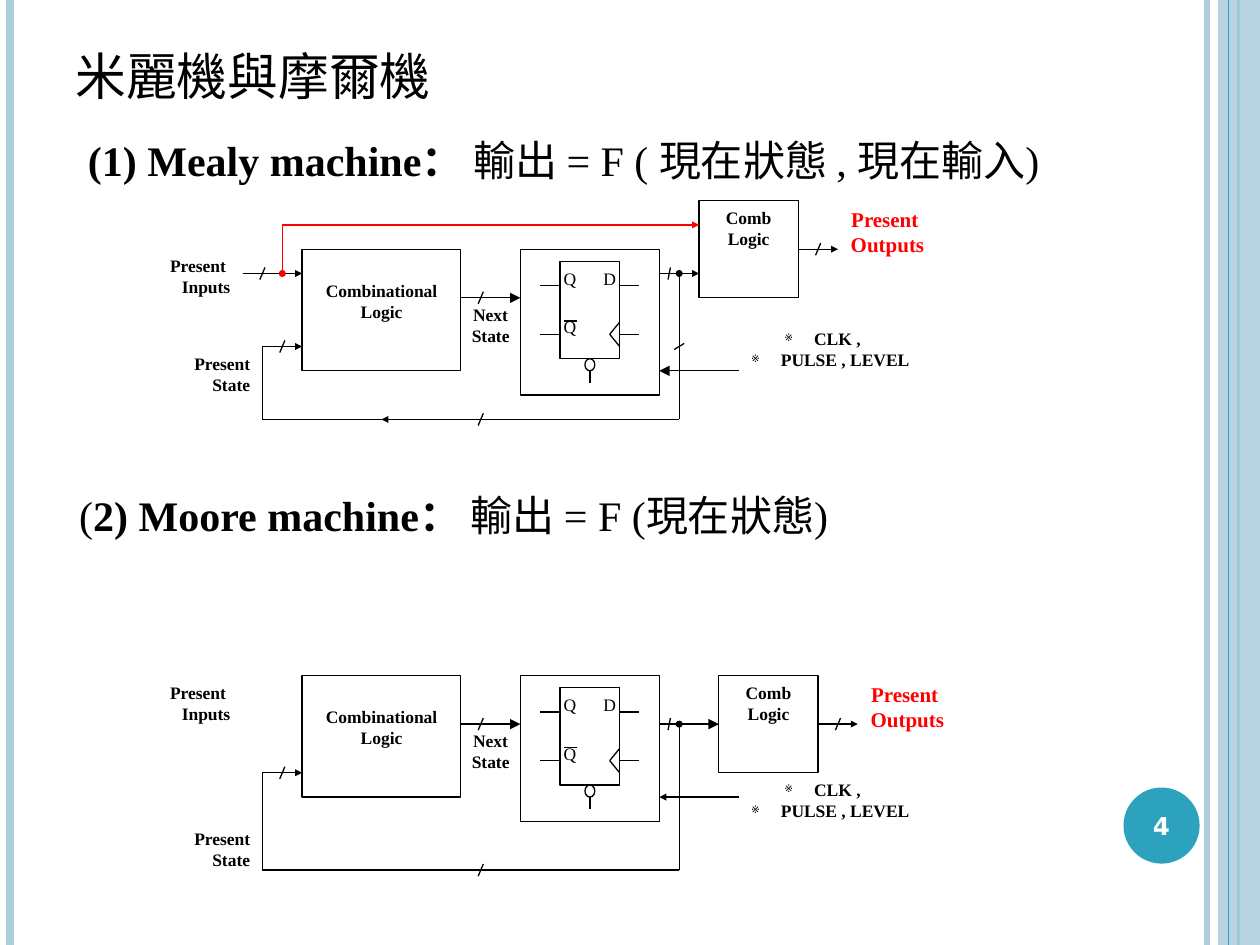
from dataclasses import dataclass

from lxml import etree
from pptx import Presentation
from pptx.dml.color import RGBColor
from pptx.enum.shapes import MSO_CONNECTOR, MSO_SHAPE
from pptx.enum.text import MSO_ANCHOR, PP_ALIGN
from pptx.oxml.ns import qn
from pptx.util import Pt

STRAIGHT = MSO_CONNECTOR.STRAIGHT
RECTANGLE, OVAL = MSO_SHAPE.RECTANGLE, MSO_SHAPE.OVAL
LEFT, CENTER, RIGHT = PP_ALIGN.LEFT, PP_ALIGN.CENTER, PP_ALIGN.RIGHT
TOP, MIDDLE, BOTTOM = MSO_ANCHOR.TOP, MSO_ANCHOR.MIDDLE, MSO_ANCHOR.BOTTOM
LEFT_SIDE, RIGHT_SIDE = 1, 3


@dataclass(frozen=True)
class Theme:
    ink: str = "000000"
    red: str = "FF0000"
    white: str = "FFFFFF"
    pale: str = "ADCEDC"
    teal: str = "2DA2BF"
    serif: str = "Times New Roman"
    title_font: str = "Arial"
    number_font: str = "DejaVu Sans"
    title: float = 29
    heading: float = 24
    number: float = 14
    output: float = 12
    label: float = 10
    stroke: float = 0.75


@dataclass(frozen=True)
class Machine:
    top: float          # points, row 0 of the diagram grid
    logic_column: int   # output logic block
    logic_row: int
    output_row: int     # line leaving the flip-flop
    feedback_row: int
    state_row: int
    clock_row: int
    clock_head: str
    output_head: str


THEME = Theme()
MEALY = Machine(114.6, 29, 0, 6, 18, 12, 10, "med", "sm")
MOORE = Machine(358.2, 30, 4, 8, 20, 16, 12, "sm", "med")
GRID_LEFT, COLUMN, ROW = 70.6, 11.34, 6.95


def set_alpha(fill_element, percent):
    color = next(fill_element.iter(qn("a:srgbClr")))
    etree.SubElement(color, qn("a:alpha"), val=str(percent * 1000))


def add_text(slide, box, lines, *, size=THEME.label, font=THEME.serif, color=THEME.ink,
             bold=True, align=CENTER, anchor=TOP, margins=None, bullet=None, shape=None):
    """Each line is a string or a list of (string, bold) runs; margins are (left, first line)."""
    shape = shape or slide.shapes.add_textbox(*map(Pt, box))
    frame = shape.text_frame
    frame.word_wrap = True
    frame.vertical_anchor = anchor
    for index, line in enumerate(lines):
        paragraph = frame.add_paragraph() if index else frame.paragraphs[0]
        paragraph.alignment = align
        for text, run_bold in [(line, bold)] if isinstance(line, str) else line:
            run = paragraph.add_run()
            run.text = text
            run.font.size, run.font.name, run.font.bold = Pt(size), font, run_bold
            run.font.color.rgb = RGBColor.from_string(color)
        properties = paragraph._p.get_or_add_pPr()
        if margins:
            left, first = margins[index]
            properties.set("marL", str(Pt(left)))
            properties.set("indent", str(Pt(first)))
        if bullet:
            etree.SubElement(properties, qn("a:buSzPct"), val="60000")
            etree.SubElement(properties, qn("a:buChar"), char=bullet)
    return shape


def add_block(slide, kind, box, fill=None, line=None):
    shape = slide.shapes.add_shape(kind, *map(Pt, box))
    shape.shadow.inherit = False
    if fill:
        shape.fill.solid()
        shape.fill.fore_color.rgb = RGBColor.from_string(fill)
    else:
        shape.fill.background()
    if line:
        shape.line.color.rgb = RGBColor.from_string(line)
        shape.line.width = Pt(THEME.stroke)
    else:
        shape.line.fill.background()
    return shape


def add_line(slide, start, end, color=THEME.ink, width=THEME.stroke, tip=None, tip_size="sm"):
    line = slide.shapes.add_connector(STRAIGHT, *map(Pt, (*start, *end)))
    line.line.color.rgb = RGBColor.from_string(color)
    line.line.width = Pt(width)
    if tip:
        etree.SubElement(line.line._get_or_add_ln(), qn("a:tailEnd"),
                         type=tip, w=tip_size, len=tip_size)
    etree.SubElement(line._element.spPr, qn("a:effectLst"))
    return line


class Diagram:
    """Draws on a grid of columns and rows."""

    def __init__(self, slide, top):
        self.slide, self.top = slide, top

    def point(self, column, row):
        return GRID_LEFT + column * COLUMN, self.top + row * ROW

    def box(self, column, row, columns, rows):
        return (*self.point(column, row), columns * COLUMN, rows * ROW)

    def block(self, *cells, kind=RECTANGLE, fill=None):
        return add_block(self.slide, kind, self.box(*cells), fill, THEME.ink)

    def text(self, cells, lines, **style):
        return add_text(self.slide, self.box(*cells), lines, **style)

    def wire(self, start, end, **style):
        return add_line(self.slide, self.point(*start), self.point(*end), **style)

    def slash(self, column, row, dx=0.13, dy=0.5):
        self.wire((column + dx, row - dy), (column - dx, row + dy))


def draw_flip_flop(diagram):
    diagram.block(20, 4, 7, 12)
    diagram.block(22, 5, 3, 8)
    for column, row, name in ((23, 5, "D"), (21, 5, "Q"), (21, 9, "Q")):
        diagram.text((column, row, 3, 4), [name], bold=False)
    diagram.wire((22.2, 9.9), (22.85, 9.9))
    for row in (7, 11):
        for column in (21, 25):
            diagram.wire((column, row), (column + 1, row))
    # Clock wedge and inverted clear pin
    for row in (10, 12):
        diagram.wire((25, row), (24.5, 11))
    diagram.block(23.25, 13, 0.5, 1, kind=OVAL, fill=THEME.white)
    diagram.wire((23.5, 14), (23.5, 15))


def draw_machine(slide, machine):
    diagram = Diagram(slide, machine.top)
    column, row = machine.logic_column, machine.logic_row
    output_row, feedback_row = machine.output_row, machine.feedback_row

    # Next-state logic and state register
    diagram.block(9, 4, 8, 10)
    diagram.text((8, 6, 10, 8), ["Combinational", "Logic"])
    diagram.wire((17, 8), (20, 8), tip="triangle", tip_size="med")
    diagram.slash(18, 8)
    diagram.text((16, 8, 5, 8), ["Next", "State"])
    draw_flip_flop(diagram)
    diagram.wire((31, 14), (27, 14), tip="triangle", tip_size=machine.clock_head)

    # Output logic
    logic = diagram.block(column, row, 5, 8)
    add_text(slide, None, ["Comb", "Logic"], shape=logic)
    incoming = diagram.wire((27, output_row), (column, output_row),
                            tip="triangle", tip_size=machine.output_head)
    if output_row == row + 4:
        incoming.end_connect(logic, LEFT_SIDE)
    diagram.slash(27.5, output_row, dx=0.06)
    outgoing = diagram.wire((column + 5, row + 4), (column + 7, row + 4), tip="triangle")
    outgoing.begin_connect(logic, RIGHT_SIDE)
    diagram.slash(column + 6, row + 4)

    # Feedback loop
    diagram.wire((28, feedback_row), (28, output_row), tip="oval")
    diagram.wire((28, feedback_row), (7, feedback_row))
    diagram.slash(18, feedback_row)
    diagram.wire((7, feedback_row), (7, 12))
    diagram.wire((7, 12), (9, 12), tip="triangle")
    diagram.slash(8, 12)

    # Labels
    diagram.text((0, 4, 6, 8), ["Present ", "Inputs"], align=RIGHT)
    diagram.text((1, machine.state_row, 6, 8), ["Present", "State"], align=RIGHT)
    diagram.text((column + 6, row, 7, 8), ["Present ", "Outputs"],
                 size=THEME.output, color=THEME.red)
    diagram.text((31, machine.clock_row, 12, 8), ["CLK ,", "PULSE , LEVEL"],
                 align=LEFT, bullet="※", margins=[(36, -17), (17, -17)])
    return diagram


def draw_mealy_inputs(diagram):
    diagram.wire((6, 6), (9, 6), tip="triangle")
    diagram.slash(7, 6)
    diagram.wire((8, 2), (29, 2), color=THEME.red, tip="triangle")
    diagram.wire((8, 2), (8, 6), color=THEME.red, tip="oval")
    diagram.wire((28, 18), (13, 18), tip="triangle")
    diagram.slash(28, 12, dx=0.25, dy=0.25)


def draw_frame(slide):
    rules = ((689.8, THEME.pale, 3), (5.8, THEME.pale, 4.5), (707.8, THEME.teal, 1.5))
    for x, color, width in rules:
        add_line(slide, (x, 0), (x, 540), color=color, width=width)
    band = add_block(slide, RECTANGLE, (696, 0, 24, 540), THEME.pale)
    set_alpha(band._element.spPr, 87)
    add_line(slide, (702, 0), (702, 540), color=THEME.teal)
    badge = add_block(slide, OVAL, (642, 450, 43.5, 43.5), THEME.teal)
    add_text(slide, None, ["4"], shape=badge, size=THEME.number, font=THEME.number_font,
             color=THEME.white, anchor=MIDDLE)


def main():
    presentation = Presentation()
    presentation.slide_width, presentation.slide_height = Pt(720), Pt(540)
    slide = presentation.slides.add_slide(presentation.slide_layouts[6])
    draw_frame(slide)

    # Title and headings
    add_text(slide, (36, 21.6, 588, 42.5), ["米麗機與摩爾機"], size=THEME.title,
             font=THEME.title_font, bold=False, align=LEFT, anchor=BOTTOM)
    heading = {"size": THEME.heading, "align": LEFT, "anchor": MIDDLE}
    add_text(slide, (43.2, 73.4, 560, 36),
             [[("(1) Mealy machine： ", True), ("輸出 = F ( 現在狀態 , 現在輸入)", False)]], **heading)
    add_text(slide, (31, 276, 452, 36),
             [[("(", False), ("2) Moore machine： ", True), ("輸出 = F (現在狀態)", False)]],
             margins=[(0, 7.2)], **heading)

    # Diagrams
    draw_mealy_inputs(draw_machine(slide, MEALY))
    draw_machine(slide, MOORE)
    presentation.save("out.pptx")


if __name__ == "__main__":
    main()
